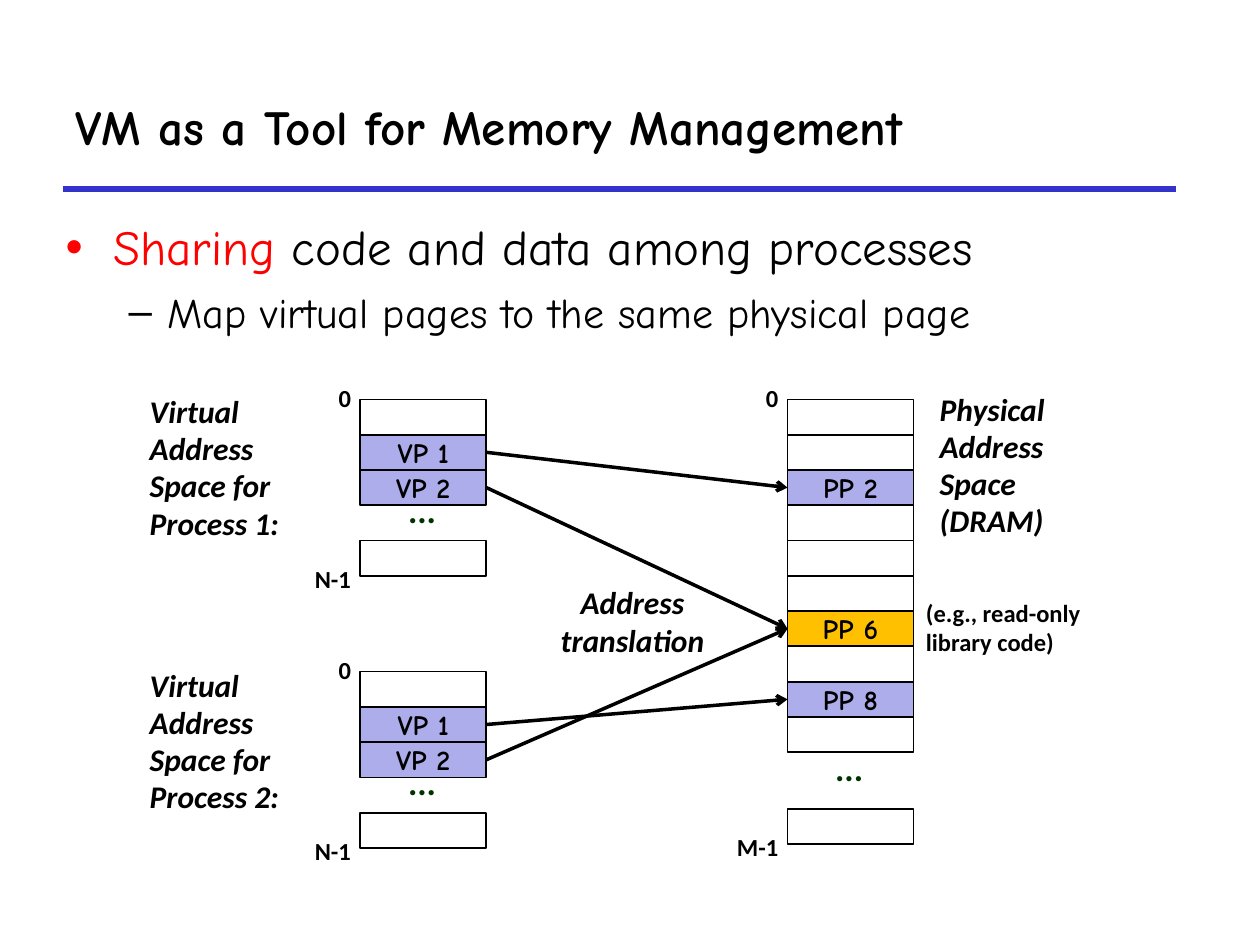
from dataclasses import dataclass
from lxml import etree
from pptx import Presentation, util as u
from pptx.dml.color import RGBColor
from pptx.enum import shapes, text
from pptx.oxml import ns


@dataclass(frozen=True)
class Theme:
    hand: str = "Comic Neue"
    sans: str = "Calibri"
    black: str = "000000"
    red: str = "FF0000"
    rule: str = "3333CC"
    page: str = "ADADEB"
    shared: str = "FFC000"
    dots: str = "003300"
    head: int = 28
    sub: int = 24
    ellipsis: int = 20
    label: int = 18
    cell: int = 16
    small: int = 14


T = Theme()
ROW, CELL_W = 0.28, 1
ALIGN = text.PP_ALIGN

TITLE = "VM as a Tool for Memory Management"
BULLETS = [
    dict(runs=[("Sharing", T.red), (" code and data among processes", T.black)],
         size=T.head, char="•", color=T.red, left=0.38, hang=0.38, spacing=0.83, before=0),
    dict(runs=[("Map virtual pages to the same physical page", T.black)],
         size=T.sub, char="–", color=T.black, left=0.81, hang=0.31, spacing=1, before=6),
]
VIRTUAL = dict(left=2.86, count=3, last=4, dots=2.5, end=("N-1", 0.49),
               pages={1: ("VP 1", T.page), 2: ("VP 2", T.page)})
SPACES = {
    "process 1": dict(VIRTUAL, top=3.17),
    "process 2": dict(VIRTUAL, top=5.33),
    "memory": dict(left=6.25, top=3.17, count=10, last=11.6, dots=9.82, end=("M-1", 0.53),
                   pages={2: ("PP 2", T.page), 6: ("PP 6", T.shared), 8: ("PP 8", T.page)}),
}
MAPPINGS = [("process 1", 1, 2), ("process 1", 2, 6), ("process 2", 2, 6), ("process 2", 1, 8)]
CAPTIONS = [
    (1.09, 3.08, 1.5, 1.27, ["Virtual Address Space for Process 1:"]),
    (1.09, 5.25, 1.5, 1.27, ["Virtual Address Space for Process 2:"]),
    (7.36, 3.06, 1.17, 1.27, ["Physical", "Address", "Space (DRAM)"]),
]


def style(item, size, color=T.black, name=T.sans, bold=True, italic=False):
    f = item.font
    f.size, f.name, f.bold, f.italic = u.Pt(size), name, bold, italic
    f.color.rgb = RGBColor.from_string(color)


def place(sp, *box):
    sp.left, sp.top, sp.width, sp.height = map(u.Inches, box)


def label(s, box, lines, size, align=ALIGN.LEFT, spacing=0.98, wrap=False, **font):
    tf = s.shapes.add_textbox(*map(u.Inches, box)).text_frame
    tf.word_wrap = wrap
    tf.auto_size = text.MSO_AUTO_SIZE.SHAPE_TO_FIT_TEXT
    tf.text = "\n".join(lines)
    for p in tf.paragraphs:
        p.alignment, p.line_spacing = align, spacing
        for r in p.runs:
            style(r, size, **font)


def line(s, start, end, color, width, arrow=False):
    points = [u.Inches(v) for v in (*start, *end)]
    c = s.shapes.add_connector(shapes.MSO_CONNECTOR.STRAIGHT, *points)
    c.line.color.rgb = RGBColor.from_string(color)
    c.line.width = u.Pt(width)
    sp_pr = c.element.spPr
    if arrow:
        etree.SubElement(sp_pr.find(ns.qn("a:ln")), ns.qn("a:tailEnd"), type="arrow")
    etree.SubElement(sp_pr, ns.qn("a:effectLst"))


def bullet(p, char, color, left, hang):
    pr = p._p.get_or_add_pPr()
    pr.set("marL", str(u.Inches(left)))
    pr.set("indent", str(-u.Inches(hang)))
    clr = etree.SubElement(pr, ns.qn("a:buClr"))
    etree.SubElement(clr, ns.qn("a:srgbClr"), val=color)
    etree.SubElement(pr, ns.qn("a:buChar"), char=char)


def cell(s, left, top, name=None, fill=None):
    box = map(u.Inches, (left, top, CELL_W, ROW))
    sp = s.shapes.add_shape(shapes.MSO_SHAPE.RECTANGLE, *box)
    sp.shadow.inherit = False
    sp.line.color.rgb = RGBColor.from_string(T.black)
    sp.line.width = u.Pt(1)
    if not name:
        sp.fill.background()
        return
    sp.fill.solid()
    sp.fill.fore_color.rgb = RGBColor.from_string(fill)
    tf = sp.text_frame
    tf.text = name
    tf.vertical_anchor = text.MSO_ANCHOR.MIDDLE
    p = tf.paragraphs[0]
    p.alignment = ALIGN.CENTER
    style(p.runs[0], T.cell, name=T.hand)


def address_space(s, left, top, count, last, dots, end, pages):
    for row in [*range(count), last]:
        cell(s, left, top + row * ROW, *pages.get(row, ()))
    label(s, (left + 0.28, top + dots * ROW, 0.42, 0.39), ["..."], T.ellipsis,
          spacing=0.88, color=T.dots)
    bounds = [("0", 0.3, top - 0.17), (*end, top + last * ROW + 0.15)]
    for name, width, y in bounds:
        label(s, (left + 0.03 - width, y, width, 0.33), [name], T.small)


def row_middle(space, row):
    return space["top"] + (row + 0.5) * ROW


def main():
    prs = Presentation()
    prs.slide_width, prs.slide_height = u.Inches(10), u.Inches(7.5)
    s = prs.slides.add_slide(prs.slide_layouts[1])
    line(s, (0.5, 1.5), (9.33, 1.5), T.rule, 3)

    title, body = s.placeholders
    place(title, 0.5, 0.5, 9.42, 1)
    tf = title.text_frame
    tf.text = TITLE
    tf.auto_size = text.MSO_AUTO_SIZE.NONE
    tf.vertical_anchor = text.MSO_ANCHOR.MIDDLE
    tf.paragraphs[0].alignment = ALIGN.LEFT
    style(tf.paragraphs[0].runs[0], T.head, name=T.hand)

    place(body, 0.42, 1.75, 9.33, 2.08)
    tf = body.text_frame
    tf.auto_size = text.MSO_AUTO_SIZE.NONE
    for level, b in enumerate(BULLETS):
        p = tf.add_paragraph() if level else tf.paragraphs[0]
        p.level = level
        bullet(p, b["char"], b["color"], b["left"], b["hang"])
        p.line_spacing, p.space_before = b["spacing"], u.Pt(b["before"])
        for words, color in b["runs"]:
            r = p.add_run()
            r.text = words
            style(r, b["size"], color, T.hand, bold=False)

    for *box, lines in CAPTIONS:
        label(s, box, lines, T.label, wrap=True, italic=True)
    label(s, (7.25, 4.71, 1.59, 0.55), ["(e.g., read-only", "library code)"], T.small, wrap=True)
    for space in SPACES.values():
        address_space(s, **space)

    memory = SPACES["memory"]
    for name, page, frame in MAPPINGS:
        space = SPACES[name]
        line(s, (space["left"] + CELL_W, row_middle(space, page)),
             (memory["left"], row_middle(memory, frame)), T.black, 2, arrow=True)
    label(s, (4.35, 4.58, 1.34, 0.7), ["Address", "translation"], T.label,
          align=ALIGN.CENTER, spacing=1, italic=True)
    prs.save("out.pptx")


if __name__ == "__main__":
    main()
